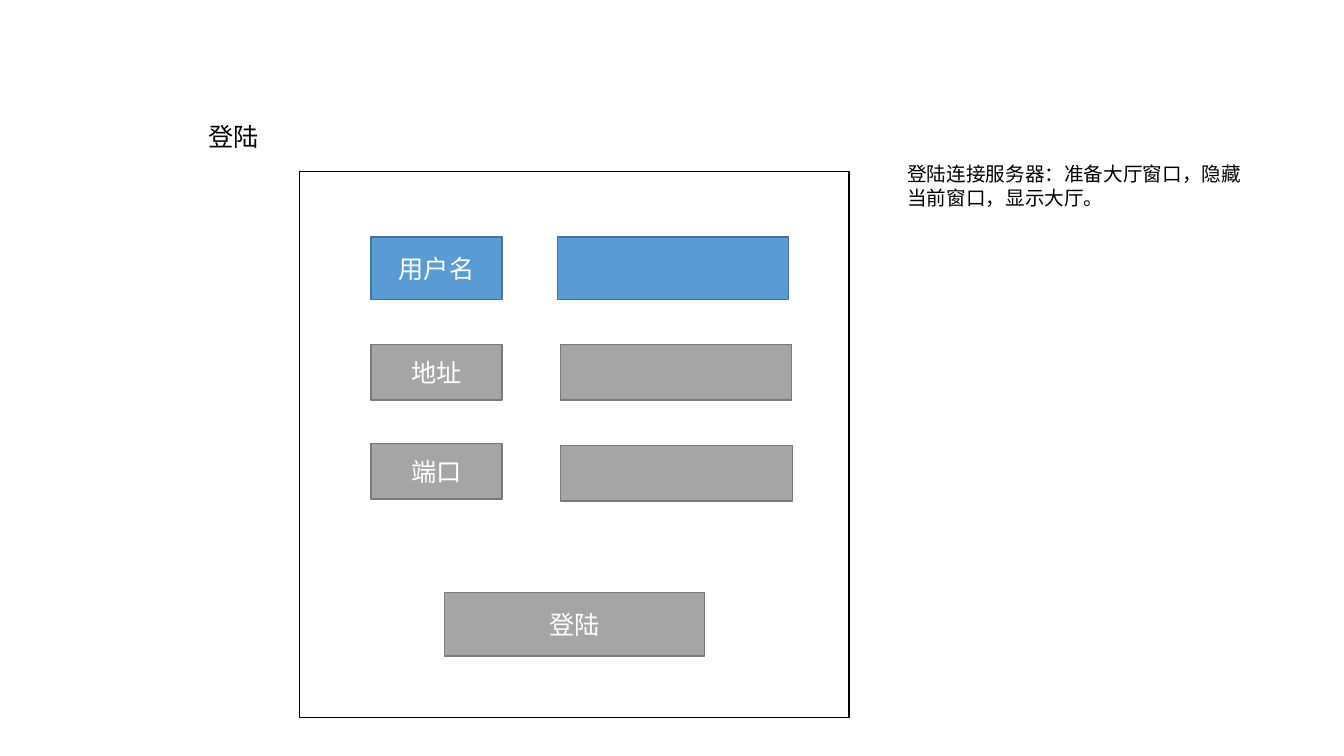
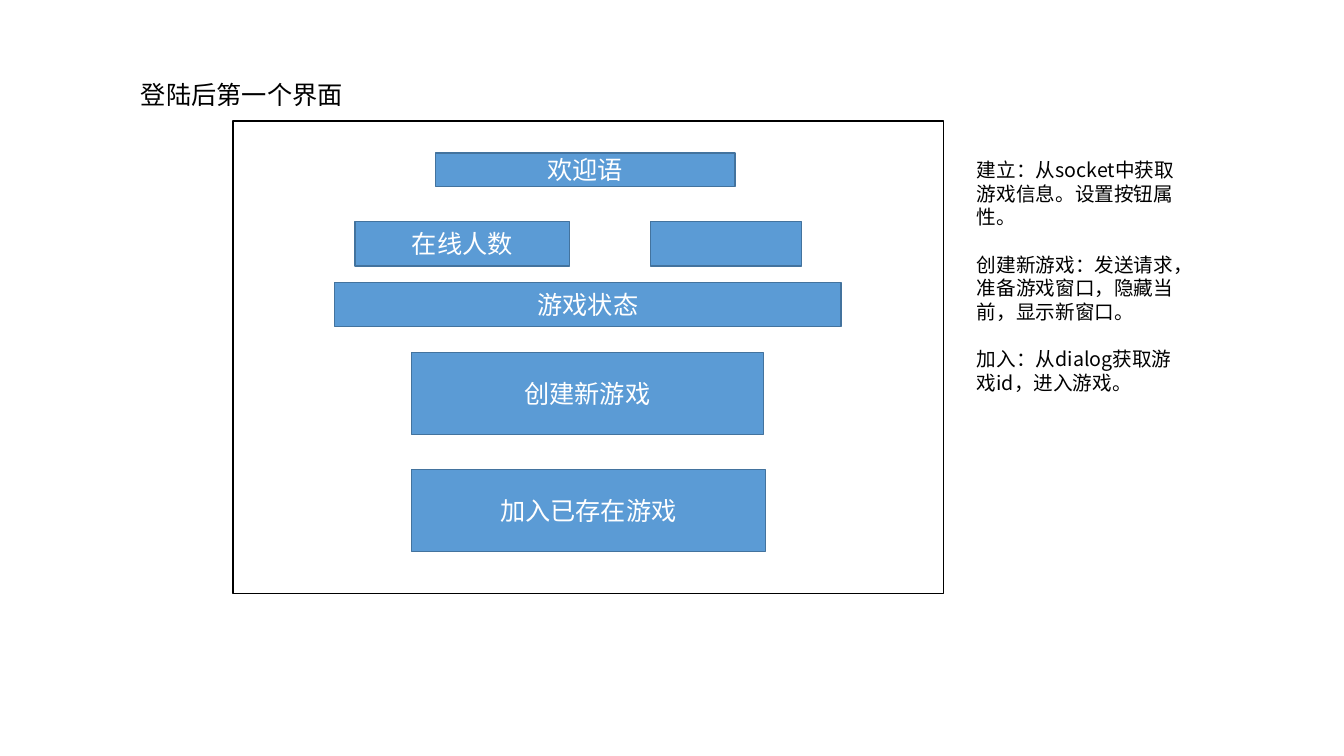
from lxml import etree
from pptx import Presentation
from pptx.dml.color import RGBColor
from pptx.enum.shapes import MSO_SHAPE
from pptx.enum.text import MSO_ANCHOR, MSO_AUTO_SIZE, PP_ALIGN
from pptx.oxml.ns import qn
from pptx.util import Inches, Pt

RECT = MSO_SHAPE.RECTANGLE
MIDDLE, TOP = MSO_ANCHOR.MIDDLE, MSO_ANCHOR.TOP
CENTER, LEFT = PP_ALIGN.CENTER, PP_ALIGN.LEFT
FIT = MSO_AUTO_SIZE.SHAPE_TO_FIT_TEXT

FONT = "Noto Sans CJK SC"
BLACK = RGBColor(0x00, 0x00, 0x00)
WHITE = RGBColor(0xFF, 0xFF, 0xFF)
BLUE = RGBColor(0x5B, 0x9B, 0xD5)
BLUE_EDGE = RGBColor(0x43, 0x73, 0x9E)
GRAY = RGBColor(0xA5, 0xA5, 0xA5)
GRAY_EDGE = RGBColor(0x7A, 0x7A, 0x7A)

# Styles: fill, line
WINDOW = (WHITE, BLACK)
ACTIVE = (BLUE, BLUE_EDGE)
MUTED = (GRAY, GRAY_EDGE)

# Content: boxes are (left, top, width, height) in inches
SCREENS = [
    {
        "title": ("登陆", (1.97, 1.15, 0.71, 0.4)),
        "window": (2.97, 1.7, 5.45, 5.42),
        "controls": [
            ("用户名", (3.68, 2.35, 1.3, 0.62), ACTIVE),
            ("", (5.53, 2.35, 2.29, 0.62), ACTIVE),
            ("地址", (3.68, 3.42, 1.3, 0.55), MUTED),
            ("", (5.56, 3.42, 2.29, 0.55), MUTED),
            ("端口", (3.68, 4.4, 1.3, 0.55), MUTED),
            ("", (5.56, 4.42, 2.3, 0.55), MUTED),
            ("登陆", (4.41, 5.88, 2.58, 0.63), MUTED),
        ],
        "notes": (["登陆连接服务器：准备大厅窗口，隐藏当前窗口，显示大厅。"],
                  (8.9, 1.56, 3.67, 0.57)),
    },
    {
        "title": ("登陆后第一个界面", (1.3, 0.74, 2.22, 0.4)),
        "window": (2.31, 1.2, 7.05, 4.69),
        "controls": [
            ("欢迎语", (4.32, 1.52, 2.97, 0.33), ACTIVE),
            ("在线人数", (3.52, 2.2, 2.13, 0.44), ACTIVE),
            ("", (6.45, 2.2, 1.5, 0.44), ACTIVE),
            ("游戏状态", (3.32, 2.8, 5.02, 0.44), ACTIVE),
            ("创建新游戏", (4.08, 3.5, 3.49, 0.81), ACTIVE),
            ("加入已存在游戏", (4.08, 4.66, 3.51, 0.81), ACTIVE),
        ],
        "notes": (["建立：从socket中获取游戏信息。设置按钮属性。",
                   "创建新游戏：发送请求，准备游戏窗口，隐藏当前，显示新窗口。",
                   "加入：从dialog获取游戏id，进入游戏。"],
                  (9.59, 1.52, 2.3, 2.46)),
    },
]


def write(tf, lines, size=18, color=BLACK, align=LEFT, anchor=TOP,
          wrap=True, gap=0):
    """Fill a text frame with one paragraph per line, gap points apart."""
    tf.word_wrap = wrap
    tf.vertical_anchor = anchor
    for i, line in enumerate(lines):
        p = tf.paragraphs[0] if i == 0 else tf.add_paragraph()
        p.alignment = align
        p.space_before = Pt(gap if i else 0)
        r = p.add_run()
        r.text = line
        r.font.size = Pt(size)
        r.font.color.rgb = color
        r.font.name = FONT
        etree.SubElement(r.font._element, qn("a:ea"), typeface=FONT)


def add_box(slide, box, style, label=""):
    sp = slide.shapes.add_shape(RECT, *map(Inches, box))
    sp.shadow.inherit = False
    fill, line = style
    sp.fill.solid()
    sp.fill.fore_color.rgb = fill
    sp.line.color.rgb = line
    sp.line.width = Pt(1)
    if label:
        write(sp.text_frame, [label], color=WHITE, align=CENTER, anchor=MIDDLE)


def add_text(slide, box, lines, **style):
    tf = slide.shapes.add_textbox(*map(Inches, box)).text_frame
    write(tf, lines, **style)
    tf.auto_size = FIT


prs = Presentation()
prs.slide_width, prs.slide_height = Inches(13.33), Inches(7.5)
blank = prs.slide_layouts[6]

for screen in SCREENS:
    slide = prs.slides.add_slide(blank)

    # Title and window frame
    title, title_box = screen["title"]
    add_text(slide, title_box, [title], wrap=False)
    add_box(slide, screen["window"], WINDOW)

    # Controls inside the window
    for label, box, style in screen["controls"]:
        add_box(slide, box, style, label)

    # Notes beside the window
    lines, notes_box = screen["notes"]
    add_text(slide, notes_box, lines, size=14, gap=17)

prs.save("out.pptx")
